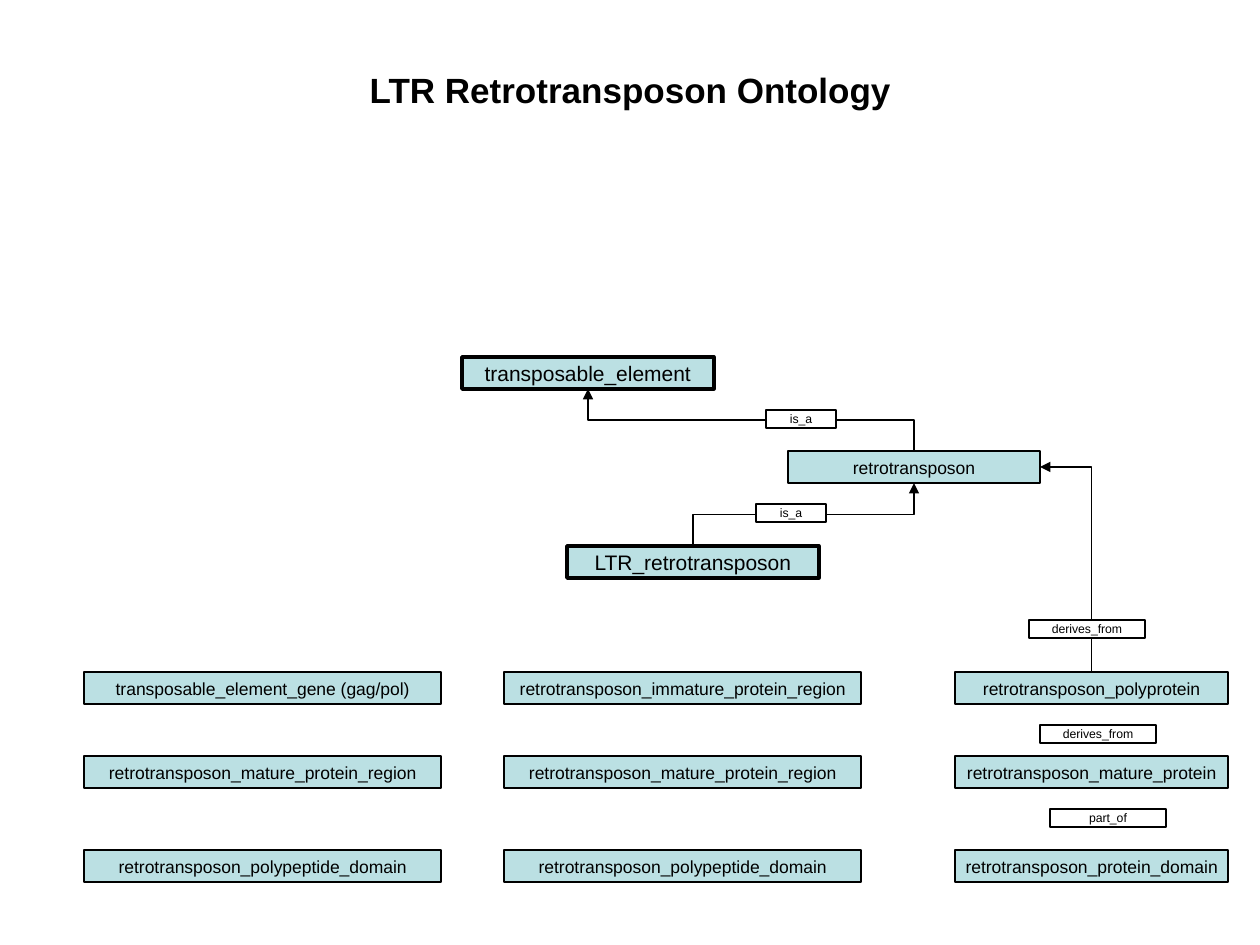
from dataclasses import dataclass

from lxml.etree import SubElement
from pptx import Presentation
from pptx.dml.color import RGBColor
from pptx.enum.shapes import MSO_CONNECTOR as Connector, MSO_SHAPE as Shape
from pptx.enum.text import MSO_ANCHOR as Anchor, MSO_AUTO_SIZE as AutoSize, PP_ALIGN as Align
from pptx.oxml.ns import qn
from pptx.util import Pt

EMU_PER_PX = 914400 / 126
TOP, BOTTOM, RIGHT = 0, 2, 3


@dataclass(frozen=True)
class Theme:
    """Colours, font and type sizes of the slide."""
    font: str = "Arial"
    ink: RGBColor = RGBColor(0, 0, 0)
    term_fill: RGBColor = RGBColor(0xBB, 0xE0, 0xE3)
    label_fill: RGBColor = RGBColor(255, 255, 255)
    title_size: int = 20
    key_size: int = 12
    term_size: int = 10
    label_size: int = 7
    key_line: float = 2
    thin_line: float = 0.75


THEME = Theme()


def px(length):
    """Turn pixels into EMU."""
    return round(length * EMU_PER_PX)


def write_text(shape, text, size, anchor, bold=False):
    """Write one centred line of text in the theme font."""
    frame = shape.text_frame
    frame.text = text
    frame.vertical_anchor = anchor
    paragraph = frame.paragraphs[0]
    paragraph.alignment = Align.CENTER
    font = paragraph.runs[0].font
    font.name, font.size, font.bold = THEME.font, Pt(size), bold
    font.color.rgb = THEME.ink


def add_title(slide, text):
    """Add the slide heading."""
    title = slide.shapes.add_textbox(px(32), px(42), px(1197), px(95))
    title.text_frame.word_wrap = True
    write_text(title, text, THEME.title_size, Anchor.MIDDLE, bold=True)


def add_box(slide, left, top, width, height, fill, line_width):
    """Add an outlined rectangle without a shadow."""
    box = slide.shapes.add_shape(Shape.RECTANGLE, px(left), px(top), px(width), px(height))
    box.shadow.inherit = False
    box.fill.solid()
    box.fill.fore_color.rgb = fill
    box.line.color.rgb = THEME.ink
    box.line.width = Pt(line_width)
    return box


def add_term(slide, text, left, top, width, key=False):
    """Add an ontology term, heavier when it is a key term."""
    line_width = THEME.key_line if key else THEME.thin_line
    term = add_box(slide, left, top, width, 32, THEME.term_fill, line_width)
    term.text_frame.word_wrap = False
    write_text(term, text, THEME.key_size if key else THEME.term_size, Anchor.MIDDLE)
    return term


def add_label(slide, text, left, top, width):
    """Add the name of a relation."""
    label = add_box(slide, left, top, width, 18, THEME.label_fill, THEME.thin_line)
    frame = label.text_frame
    frame.word_wrap = True
    frame.margin_top = frame.margin_bottom = px(1)
    write_text(label, text, THEME.label_size, Anchor.TOP)
    frame.auto_size = AutoSize.SHAPE_TO_FIT_TEXT


def add_relation(slide, child, parent, parent_site, preset="bentConnector3"):
    """Join the top of a child to its parent with an elbow that first runs upwards."""
    connector = slide.shapes.add_connector(Connector.ELBOW, 0, 0, 0, 0)
    connector.begin_connect(child, TOP)
    connector.end_connect(parent, parent_site)
    across = connector.end_x - connector.begin_x
    middle_x = (connector.begin_x + connector.end_x) // 2
    middle_y = (connector.begin_y + connector.end_y) // 2
    width, height = abs(connector.end_y - connector.begin_y), abs(across)
    connector.left, connector.top = middle_x - width // 2, middle_y - height // 2
    connector.width, connector.height = width, height

    properties = connector._element.spPr
    transform = properties.find(qn("a:xfrm"))
    transform.set("rot", str(270 * 60000))
    transform.set("flipH", "0")
    transform.set("flipV", "1" if across < 0 else "0")
    properties.find(qn("a:prstGeom")).set("prst", preset)
    connector.line.color.rgb = THEME.ink
    connector.line.width = Pt(THEME.thin_line)
    SubElement(properties.find(qn("a:ln")), qn("a:tailEnd"), type="triangle")
    SubElement(properties, qn("a:effectLst"))


def add_term_grid(slide):
    """Add the three columns of lower terms and return the polyprotein term."""
    row_tops = (672, 756, 850)
    columns = (
        (84, 357, ("transposable_element_gene (gag/pol)",
                   "retrotransposon_mature_protein_region",
                   "retrotransposon_polypeptide_domain")),
        (504, 357, ("retrotransposon_immature_protein_region",
                    "retrotransposon_mature_protein_region",
                    "retrotransposon_polypeptide_domain")),
        (955, 273, ("retrotransposon_polyprotein",
                    "retrotransposon_mature_protein",
                    "retrotransposon_protein_domain")),
    )
    for left, width, names in columns:
        terms = [add_term(slide, name, left, top, width) for name, top in zip(names, row_tops)]
    return terms[0]


def main():
    """Build and save the ontology slide."""
    presentation = Presentation()
    presentation.slide_width, presentation.slide_height = px(1260), px(945)
    slide = presentation.slides.add_slide(presentation.slide_layouts[6])
    add_title(slide, "LTR Retrotransposon Ontology")

    element = add_term(slide, "transposable_element", 462, 357, 252, key=True)
    retrotransposon = add_term(slide, "retrotransposon", 788, 451, 252)
    ltr = add_term(slide, "LTR_retrotransposon", 567, 546, 252, key=True)
    polyprotein = add_term_grid(slide)

    add_relation(slide, retrotransposon, element, BOTTOM)
    add_relation(slide, ltr, retrotransposon, BOTTOM)
    add_relation(slide, polyprotein, retrotransposon, RIGHT, "bentConnector2")

    for text, left, top, width in (
        ("is_a", 766, 410, 70),
        ("is_a", 756, 504, 70),
        ("derives_from", 1029, 620, 116),
        ("derives_from", 1040, 725, 116),
        ("part_of", 1050, 809, 116),
    ):
        add_label(slide, text, left, top, width)
    presentation.save("out.pptx")


if __name__ == "__main__":
    main()
